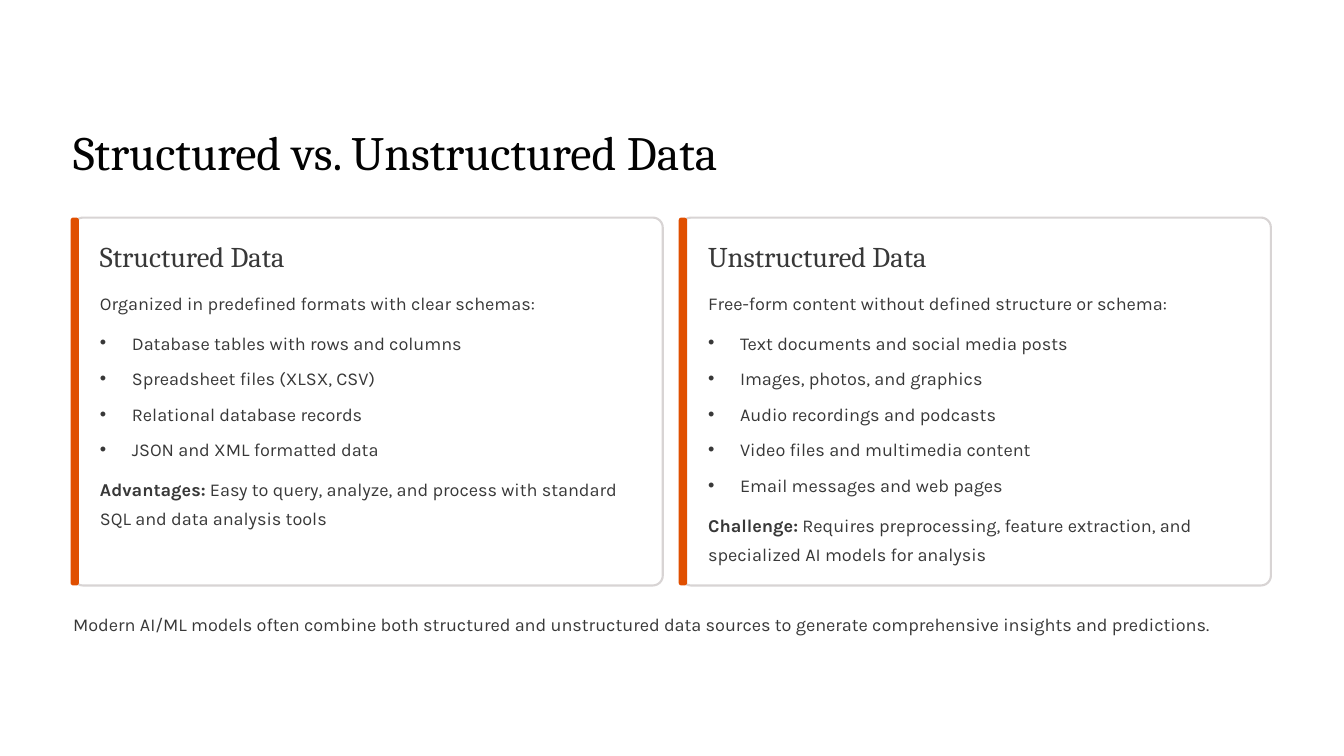
from dataclasses import dataclass

from lxml.etree import SubElement
from pptx import Presentation
from pptx.dml.color import RGBColor
from pptx.enum.shapes import MSO_SHAPE
from pptx.enum.text import MSO_ANCHOR, MSO_AUTO_SIZE, PP_ALIGN
from pptx.oxml.ns import qn
from pptx.shapes.autoshape import Shape
from pptx.slide import Slide
from pptx.text.text import TextFrame
from pptx.util import Inches, Length, Pt


@dataclass(frozen=True)
class TextStyle:
    font: str
    size: float
    leading: float
    color: RGBColor


@dataclass(frozen=True)
class Theme:
    title: TextStyle
    heading: TextStyle
    body: TextStyle
    paper: RGBColor
    border: RGBColor
    accent: RGBColor


@dataclass(frozen=True)
class Area:
    column: float
    row: float
    columns: float
    rows: float

    def bounds(self) -> tuple[Length, Length, Length, Length]:
        return (
            Length(self.column * COLUMN),
            Length(self.row * ROW),
            Length(self.columns * COLUMN),
            Length(self.rows * ROW),
        )


@dataclass(frozen=True)
class DataKind:
    heading: str
    intro: str
    examples: tuple[str, ...]
    verdict: str
    explanation: str


SLIDE_WIDTH, SLIDE_HEIGHT = Inches(16), Inches(9)
COLUMN, ROW = SLIDE_WIDTH / 16, SLIDE_HEIGHT / 9
MARGIN, GUTTER = 0.87, 0.22
CONTENT_COLUMNS = 16 - 2 * MARGIN
CARD_COLUMNS = (CONTENT_COLUMNS - GUTTER) / 2
CARD_ROW, CARD_ROWS = 2.59, 4.38
PADDING, TEXT_COLUMNS = 0.32, 6.46
BULLET_INDENT = round(0.38 * COLUMN)
BLOCK_GAP, EXAMPLE_GAP = 9, 5.5

INK = RGBColor(0x38, 0x38, 0x38)
THEME = Theme(
    title=TextStyle("Cambria", 41, 51, RGBColor(0x02, 0x02, 0x02)),
    heading=TextStyle("Cambria", 24.5, 30.5, INK),
    body=TextStyle("Karla", 15.5, 25, INK),
    paper=RGBColor(0xFF, 0xFF, 0xFF),
    border=RGBColor(0xD8, 0xD4, 0xD4),
    accent=RGBColor(0xE0, 0x4F, 0x00),
)

DATA_KINDS = (
    DataKind(
        "Structured Data",
        "Organized in predefined formats with clear schemas:",
        (
            "Database tables with rows and columns",
            "Spreadsheet files (XLSX, CSV)",
            "Relational database records",
            "JSON and XML formatted data",
        ),
        "Advantages:",
        " Easy to query, analyze, and process with standard SQL and data analysis tools",
    ),
    DataKind(
        "Unstructured Data",
        "Free-form content without defined structure or schema:",
        (
            "Text documents and social media posts",
            "Images, photos, and graphics",
            "Audio recordings and podcasts",
            "Video files and multimedia content",
            "Email messages and web pages",
        ),
        "Challenge:",
        " Requires preprocessing, feature extraction, and specialized AI models for analysis",
    ),
)


def prepare_text(holder: Shape, area: Area) -> TextFrame:
    holder.left, holder.top, holder.width, holder.height = area.bounds()
    holder.element.getparent().append(holder.element)
    frame = holder.text_frame
    frame.margin_left = frame.margin_top = frame.margin_right = frame.margin_bottom = 0
    frame.word_wrap = True
    frame.auto_size = MSO_AUTO_SIZE.NONE
    frame.vertical_anchor = MSO_ANCHOR.TOP
    return frame


def write_paragraph(
    frame: TextFrame,
    style: TextStyle,
    plain: str,
    bold: str = "",
    gap: float = 0,
    bulleted: bool = False,
) -> None:
    first = frame.paragraphs[0]
    paragraph = frame.add_paragraph() if first.runs else first
    paragraph.alignment = PP_ALIGN.LEFT
    paragraph.line_spacing = Pt(style.leading)
    paragraph.space_before = Pt(gap)
    paragraph.space_after = Pt(0)
    properties = paragraph._p.get_or_add_pPr()
    indent = BULLET_INDENT if bulleted else 0
    properties.set("marL", str(indent))
    properties.set("indent", str(-indent))
    if bulleted:
        SubElement(properties, qn("a:buChar")).set("char", "•")
    else:
        SubElement(properties, qn("a:buNone"))
    for words, heavy in ((bold, True), (plain, False)):
        if words:
            run = paragraph.add_run()
            run.text = words
            run.font.name = style.font
            run.font.size = Pt(style.size)
            run.font.bold = heavy
            run.font.color.rgb = style.color


def add_panel(slide: Slide, area: Area, rounding: float, fill: RGBColor) -> Shape:
    panel = slide.shapes.add_shape(MSO_SHAPE.ROUNDED_RECTANGLE, *area.bounds())
    panel.adjustments[0] = rounding
    panel.shadow.inherit = False
    panel.fill.solid()
    panel.fill.fore_color.rgb = fill
    panel.line.fill.background()
    return panel


def add_card(slide: Slide, kind: DataKind, left: float, heading: Shape, details: Shape) -> None:
    card = add_panel(slide, Area(left, CARD_ROW, CARD_COLUMNS, CARD_ROWS), 0.027, THEME.paper)
    card.line.color.rgb = THEME.border
    card.line.width = Pt(1.8)
    add_panel(slide, Area(left - 0.03, CARD_ROW, 0.1, CARD_ROWS), 0.326, THEME.accent)

    text_left = left + PADDING
    heading_text = prepare_text(heading, Area(text_left, 2.83, TEXT_COLUMNS, 0.43))
    write_paragraph(heading_text, THEME.heading, kind.heading)

    details_text = prepare_text(details, Area(text_left, 3.39, TEXT_COLUMNS, 3.4))
    write_paragraph(details_text, THEME.body, kind.intro)
    for position, example in enumerate(kind.examples):
        gap = EXAMPLE_GAP if position else BLOCK_GAP
        write_paragraph(details_text, THEME.body, example, gap=gap, bulleted=True)
    write_paragraph(details_text, THEME.body, kind.explanation, kind.verdict, BLOCK_GAP)


def main() -> None:
    deck = Presentation()
    deck.slide_width, deck.slide_height = SLIDE_WIDTH, SLIDE_HEIGHT
    comparison_layout = deck.slide_layouts[4]
    slide = deck.slides.add_slide(comparison_layout)
    slide.background.fill.solid()
    slide.background.fill.fore_color.rgb = THEME.paper

    title, *card_texts = list(slide.placeholders)
    title_text = prepare_text(title, Area(MARGIN, 1.44, CONTENT_COLUMNS, 0.71))
    write_paragraph(title_text, THEME.title, "Structured vs. Unstructured Data")

    for position, kind in enumerate(DATA_KINDS):
        left = MARGIN + position * (CARD_COLUMNS + GUTTER)
        heading, details = card_texts[2 * position : 2 * position + 2]
        add_card(slide, kind, left, heading, details)

    takeaway_area = Area(MARGIN, 7.21, CONTENT_COLUMNS, 0.35)
    takeaway = slide.shapes.add_textbox(*takeaway_area.bounds())
    write_paragraph(
        prepare_text(takeaway, takeaway_area),
        THEME.body,
        "Modern AI/ML models often combine both structured and unstructured data sources "
        "to generate comprehensive insights and predictions.",
    )
    deck.save("out.pptx")


if __name__ == "__main__":
    main()
